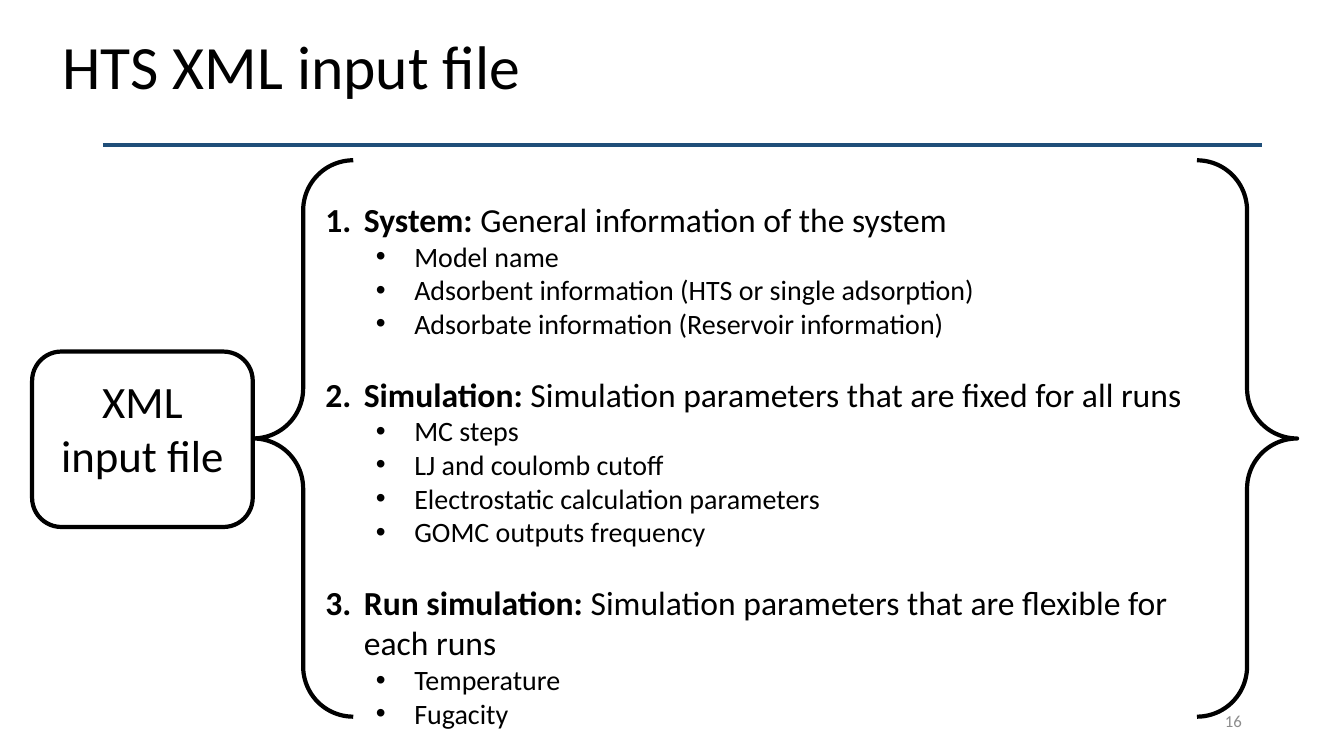
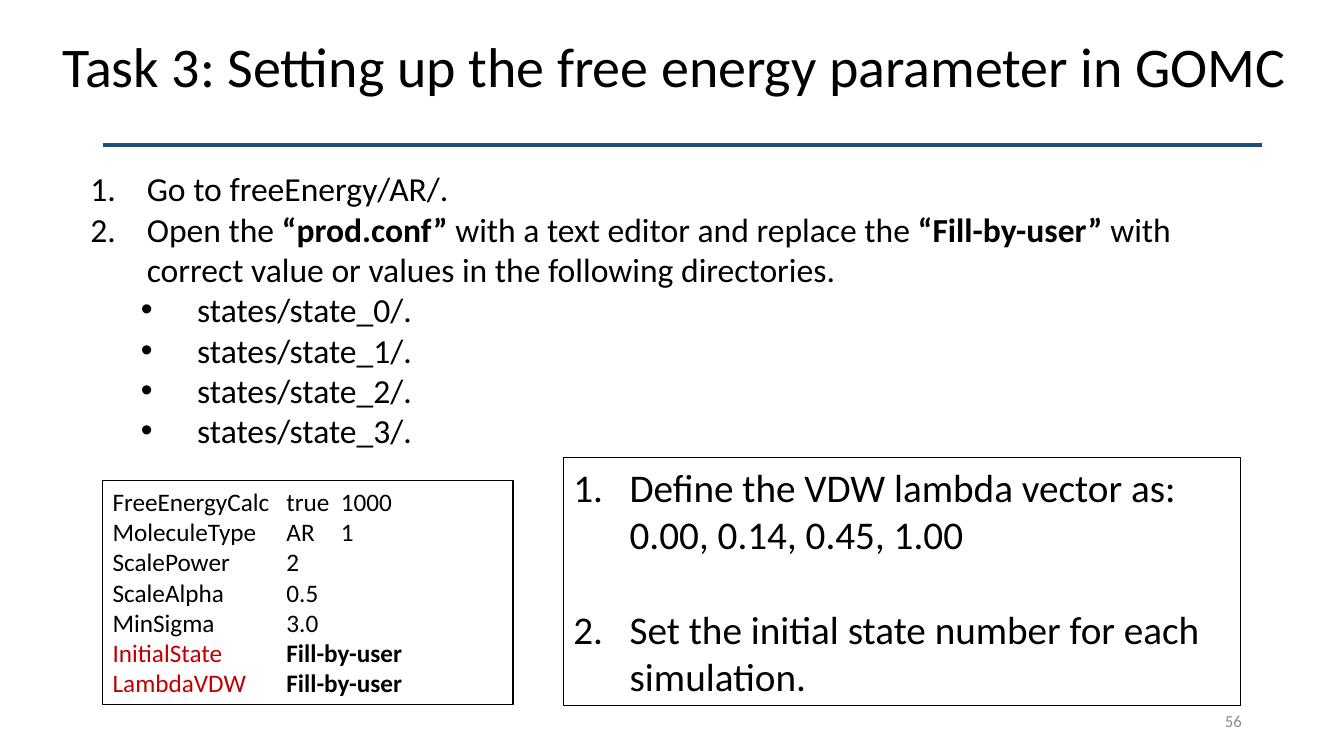
from dataclasses import dataclass
from lxml import etree
from pptx import Presentation
from pptx.dml.color import RGBColor
from pptx.enum import shapes, text
from pptx.oxml import ns
from pptx.util import Cm, Pt


@dataclass(frozen=True)
class Theme:
    font: str = "Calibri"
    ink: str = "000000"
    rule: str = "1F4E79"
    grey: str = "8C8C8C"
    red: str = "C00000"
    paper: str = "FFFFFF"
    head: int = 44
    long: int = 40
    label: int = 32
    step: int = 28
    item: int = 24
    sub: int = 20
    code: int = 18
    foot: int = 12
    thick: float = 3
    thin: float = 0.75


T = Theme()
SIZE = (33.87, 19.05)
RULE = (2.59, 3.66, 31.8, 3.66)
TITLE = (1.32, -0.08, 31.95, 3.68)
FOOT = (23.93, 17.65, 7.62, 1.02)
SHIFT = 1.27
TABS = (4.38, 5.75)

PARTS = [
    ("*System: *General information of the system",
     ["Model name",
      "Adsorbent information (HTS or single adsorption)",
      "Adsorbate information (Reservoir information)"]),
    ("*Simulation: *Simulation parameters that are fixed for all runs",
     ["MC steps",
      "LJ and coulomb cutoff",
      "Electrostatic calculation parameters",
      "GOMC outputs frequency"]),
    ("*Run simulation: *Simulation parameters that are flexible for each runs",
     ["Temperature", "Fugacity"]),
]
TASKS = [
    ("Go to freeEnergy/AR/.", []),
    ("Open the *“prod.conf” *with a text editor and replace the "
     "*“Fill-by-user” *with correct value or values in the following directories.",
     [f"states/state_{n}/." for n in range(4)]),
]
STEPS = [
    ("Define the VDW lambda vector as: 0.00, 0.14, 0.45, 1.00", []),
    ("Set the initial state number for each simulation.", []),
]
CODE = [
    ("FreeEnergyCalc", "true", "1000"),
    ("MoleculeType", "AR", "1"),
    ("ScalePower", "2"),
    ("ScaleAlpha", "0.5"),
    ("MinSigma", "3.0"),
    ("InitialState", "*Fill-by-user*"),
    ("LambdaVDW", "*Fill-by-user*"),
]


def rgb(code):
    return RGBColor.from_string(code)


def box(vals):
    return [Cm(v) for v in vals]


def child(node, tag, **atts):
    return etree.SubElement(node, ns.qn("a:" + tag), {k: str(v) for k, v in atts.items()})


def write(frame, paras, size, color=T.ink, align=text.PP_ALIGN.LEFT,
          anchor=text.MSO_ANCHOR.TOP, hang=0, gap=0, lead=1, tabs=(), low=0.13):
    frame.word_wrap = True
    frame.auto_size = text.MSO_AUTO_SIZE.NONE
    frame.vertical_anchor = anchor
    frame.margin_left = frame.margin_right = Cm(0.25)
    frame.margin_top, frame.margin_bottom = Cm(0.13), Cm(low)
    for i, spec in enumerate(paras):
        spec = {"text": spec} if isinstance(spec, str) else spec
        para = frame.paragraphs[0] if i == 0 else frame.add_paragraph()
        num, lev = spec.get("num"), spec.get("lev", 0)
        para.level, para.alignment = lev, align
        props = para._p.get_or_add_pPr()
        if hang:
            props.set("marL", str(Cm(hang + lev * SHIFT)))
            props.set("indent", str(-Cm(hang)))
            if num:
                child(props, "buFont", typeface="+mj-lt")
                child(props, "buAutoNum", type="arabicPeriod", startAt=num)
            else:
                child(props, "buFont", typeface="Arial")
                child(props, "buChar", char="•")
        if tabs:
            stops = child(props, "tabLst")
            for pos in tabs:
                child(stops, "tab", pos=Cm(pos), algn="l")
        para.line_spacing = lead
        para.space_before = Pt(gap if i and num else 0)
        para.space_after = Pt(0)
        for j, part in enumerate(spec["text"].split("*")):
            if part:
                run = para.add_run()
                run.text = part
                run.font.name = T.font
                run.font.size = Pt(spec.get("size", size))
                run.font.bold = j % 2 == 1
                hue = spec.get("color", color) if j == 0 else color
                run.font.color.rgb = rgb(hue)


def nest(parts, size):
    out = []
    for n, (line, subs) in enumerate(parts, 1):
        out.append({"text": line, "num": n})
        out += [{"text": sub, "lev": 1, "size": size} for sub in subs]
    return out


def place(shape, vals):
    shape.left, shape.top, shape.width, shape.height = box(vals)
    return shape.text_frame


def draw(page, kind, vals, width, fill=None):
    shape = page.shapes.add_shape(kind, *box(vals))
    shape.shadow.inherit = False
    shape.line.color.rgb = rgb(T.ink)
    shape.line.width = Pt(width)
    if fill:
        shape.fill.solid()
        shape.fill.fore_color.rgb = rgb(fill)
    else:
        shape.fill.background()
    return shape


def start(deck, name, size, num):
    page = deck.slides.add_slide(deck.slide_layouts[1])
    line = page.shapes.add_connector(shapes.MSO_CONNECTOR.STRAIGHT, *box(RULE))
    line.line.color.rgb = rgb(T.rule)
    line.line.width = Pt(T.thick)
    child(line._element.spPr, "effectLst")
    mid = text.MSO_ANCHOR.MIDDLE
    write(place(page.shapes.title, TITLE), [name], size, anchor=mid, lead=0.9)
    foot = page.shapes.add_textbox(*box(FOOT))
    write(foot.text_frame, [num], T.foot, color=T.grey,
          align=text.PP_ALIGN.RIGHT, anchor=mid)
    return page


def inputs(deck):
    page = start(deck, "HTS XML input file", T.head, "16")
    kinds = shapes.MSO_SHAPE
    label = draw(page, kinds.ROUNDED_RECTANGLE, (0.81, 8.86, 5.56, 4.42), T.thick, T.paper)
    write(label.text_frame, ["XML input file"], T.label, align=text.PP_ALIGN.CENTER,
          anchor=text.MSO_ANCHOR.MIDDLE, low=0.72)
    brace = draw(page, kinds.DOUBLE_BRACE, (6.38, 4.04, 26.31, 14.02), T.thick)
    brace.adjustments[0] = 0.09
    body = place(page.placeholders[1], (7.95, 4.88, 22.9, 13.7))
    write(body, nest(PARTS, T.sub), T.item, hang=0.97, gap=24)


def energy(deck):
    page = start(deck, "Task 3: Setting up the free energy parameter in GOMC", T.long, "56")
    body = place(page.placeholders[1], (2.03, 4.11, 29.51, 7.44))
    write(body, nest(TASKS, T.item), T.item, hang=1.42)
    rect = shapes.MSO_SHAPE.RECTANGLE
    code = draw(page, rect, (2.59, 12.12, 10.34, 5.64), T.thin)
    rows = [{"text": "\t".join(row), "color": T.red if "*" in row[1] else T.ink}
            for row in CODE]
    write(code.text_frame, rows, T.code, tabs=TABS)
    steps = draw(page, rect, (14.2, 11.53, 17.07, 6.25), T.thin)
    write(steps.text_frame, nest(STEPS, T.step), T.step, hang=1.42, gap=34,
          anchor=text.MSO_ANCHOR.MIDDLE)


def main():
    deck = Presentation()
    deck.slide_width, deck.slide_height = box(SIZE)
    inputs(deck)
    energy(deck)
    deck.save("out.pptx")


if __name__ == "__main__":
    main()
